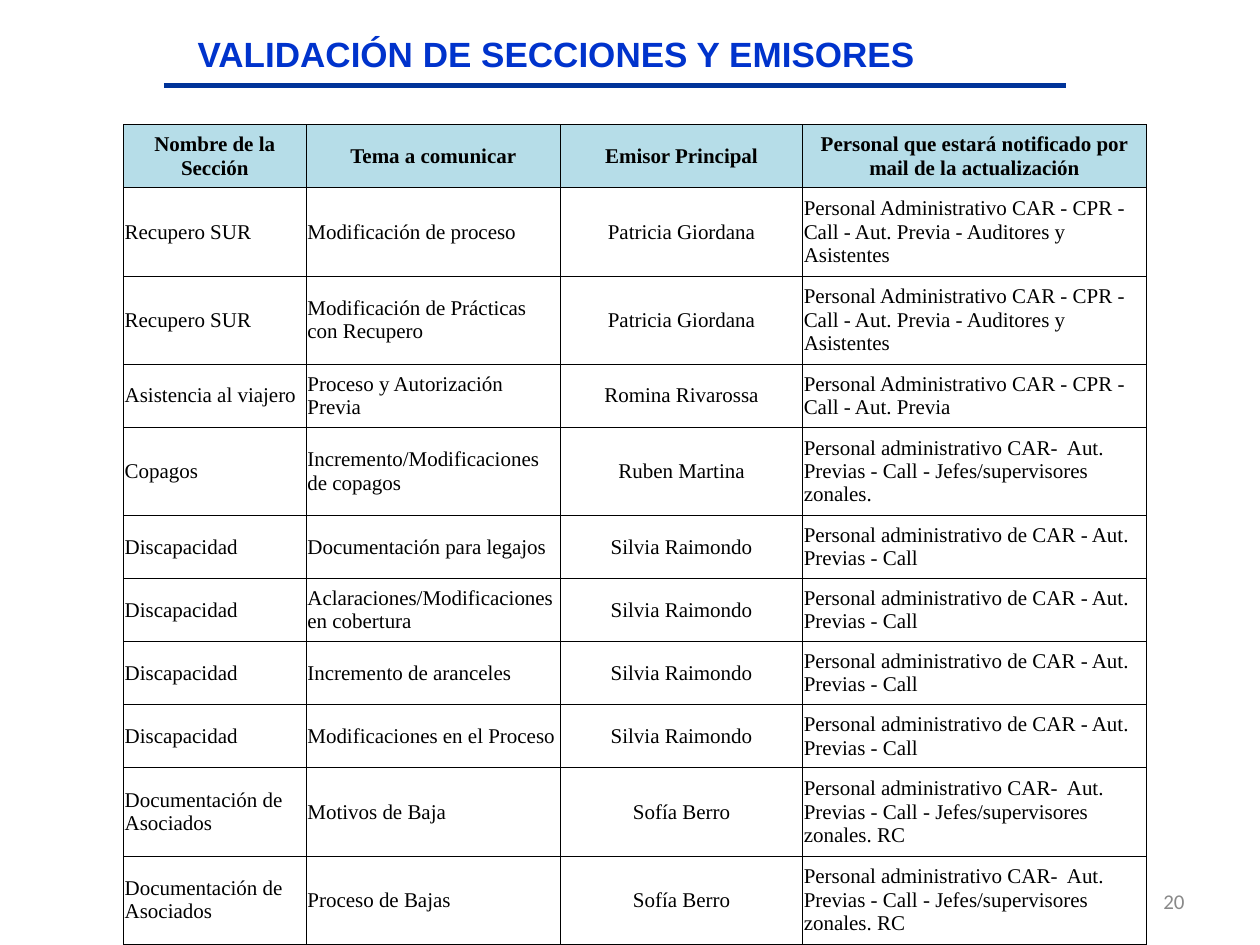
"""Build the slide that lists sections, topics, senders and notified staff."""
from lxml import etree
from pptx import Presentation
from pptx.dml.color import RGBColor
from pptx.enum.shapes import MSO_CONNECTOR
from pptx.enum.text import MSO_ANCHOR, MSO_AUTO_SIZE, PP_ALIGN
from pptx.oxml.ns import qn
from pptx.util import Inches, Pt

LEFT, CENTER, RIGHT = PP_ALIGN.LEFT, PP_ALIGN.CENTER, PP_ALIGN.RIGHT
MIDDLE = MSO_ANCHOR.MIDDLE
STRAIGHT = MSO_CONNECTOR.STRAIGHT
FIT_SHAPE = MSO_AUTO_SIZE.SHAPE_TO_FIT_TEXT

BLACK = RGBColor(0x00, 0x00, 0x00)
TITLE_BLUE = RGBColor(0x00, 0x33, 0xCC)
RULE_BLUE = RGBColor(0x00, 0x33, 0x99)
HEADER_BLUE = RGBColor(0xB6, 0xDD, 0xE8)
NUMBER_GRAY = RGBColor(0x89, 0x89, 0x89)

TITLE = "VALIDACIÓN DE SECCIONES Y EMISORES"
PAGE_NUMBER = "20"
HEADERS = (
    "Nombre de la Sección",
    "Tema a comunicar",
    "Emisor Principal",
    "Personal que estará notificado por mail de la actualización",
)
AUDITORS = "Personal Administrativo CAR - CPR - Call - Aut. Previa - Auditores y Asistentes"
TRAVEL_STAFF = "Personal Administrativo CAR - CPR - Call - Aut. Previa"
SUPERVISORS = "Personal administrativo CAR-  Aut. Previas - Call - Jefes/supervisores zonales."
CALL_STAFF = "Personal administrativo de CAR - Aut. Previas - Call"
SECTIONS = [
    ("Recupero SUR", "Modificación de proceso", "Patricia Giordana", AUDITORS),
    ("Recupero SUR", "Modificación de Prácticas con Recupero", "Patricia Giordana", AUDITORS),
    ("Asistencia al viajero", "Proceso y Autorización Previa", "Romina Rivarossa", TRAVEL_STAFF),
    ("Copagos", "Incremento/Modificaciones de copagos", "Ruben Martina", SUPERVISORS),
    ("Discapacidad", "Documentación para legajos", "Silvia Raimondo", CALL_STAFF),
    ("Discapacidad", "Aclaraciones/Modificaciones en cobertura", "Silvia Raimondo", CALL_STAFF),
    ("Discapacidad", "Incremento de aranceles", "Silvia Raimondo", CALL_STAFF),
    ("Discapacidad", "Modificaciones en el Proceso", "Silvia Raimondo", CALL_STAFF),
    ("Documentación de Asociados", "Motivos de Baja", "Sofía Berro", SUPERVISORS + " RC"),
    ("Documentación de Asociados", "Proceso de Bajas", "Sofía Berro", SUPERVISORS + " RC"),
]
COLUMN_WIDTHS = (1.45, 2.02, 1.92, 2.73)
COLUMN_ALIGNS = (LEFT, LEFT, CENTER, LEFT)
TWO_LINES, THREE_LINES = 0.5, 0.7
LONG_STAFF = 60


def write(frame, text, font="Times New Roman", size=12, color=BLACK, bold=False, align=LEFT):
    paragraph = frame.paragraphs[0]
    paragraph.alignment = align
    run = paragraph.add_run()
    run.text = text
    run.font.name = font
    run.font.size = Pt(size)
    run.font.bold = bold
    run.font.color.rgb = color


def add_label(slide, box, text, wrap=True, **text_format):
    label = slide.shapes.add_textbox(*map(Inches, box))
    label.text_frame.word_wrap = wrap
    write(label.text_frame, text, **text_format)
    return label.text_frame


def add_borders(cell):
    properties = cell._tc.get_or_add_tcPr()
    for position, side in enumerate(("lnL", "lnR", "lnT", "lnB")):
        border = etree.Element(qn(f"a:{side}"), w=str(Pt(0.45)))
        fill = etree.SubElement(border, qn("a:solidFill"))
        etree.SubElement(fill, qn("a:srgbClr"), val=str(BLACK))
        properties.insert(position, border)


def add_sections_table(slide):
    rows = [HEADERS, *SECTIONS]
    heights = [TWO_LINES] + [
        THREE_LINES if len(section[-1]) > LONG_STAFF else TWO_LINES for section in SECTIONS
    ]
    table = slide.shapes.add_table(
        len(rows), len(HEADERS), Inches(0.98), Inches(0.99),
        Inches(sum(COLUMN_WIDTHS)), Inches(sum(heights)),
    ).table
    for column, width in zip(table.columns, COLUMN_WIDTHS):
        column.width = Inches(width)
    for row_index, (texts, height) in enumerate(zip(rows, heights)):
        table.rows[row_index].height = Inches(height)
        is_header = row_index == 0
        for column_index, text in enumerate(texts):
            cell = table.cell(row_index, column_index)
            cell.vertical_anchor = MIDDLE
            cell.margin_left = cell.margin_right = Inches(0.01)
            cell.margin_top = cell.margin_bottom = Inches(0.05)
            if is_header:
                cell.fill.solid()
                cell.fill.fore_color.rgb = HEADER_BLUE
            else:
                cell.fill.background()
            add_borders(cell)
            align = CENTER if is_header else COLUMN_ALIGNS[column_index]
            write(cell.text_frame, text, bold=is_header, align=align)


def main():
    deck = Presentation()
    deck.slide_width, deck.slide_height = Inches(10), Inches(7.5)
    slide = deck.slides.add_slide(deck.slide_layouts[6])

    rule_y = Inches(0.68)
    title_rule = slide.shapes.add_connector(STRAIGHT, Inches(1.3), rule_y, Inches(8.46), rule_y)
    title_rule.line.color.rgb = RULE_BLUE
    title_rule.line.width = Pt(3)
    etree.SubElement(title_rule._element.spPr, qn("a:effectLst"))

    number = add_label(slide, (7.17, 6.95, 2.33, 0.4), PAGE_NUMBER,
                       font="Calibri", color=NUMBER_GRAY, align=RIGHT)
    number.vertical_anchor = MIDDLE
    add_sections_table(slide)
    title = add_label(slide, (1.47, 0.21, 5.92, 0.44), TITLE, wrap=False,
                      font="Arial", size=20, color=TITLE_BLUE, bold=True)
    title.auto_size = FIT_SHAPE

    deck.save("out.pptx")


if __name__ == "__main__":
    main()
